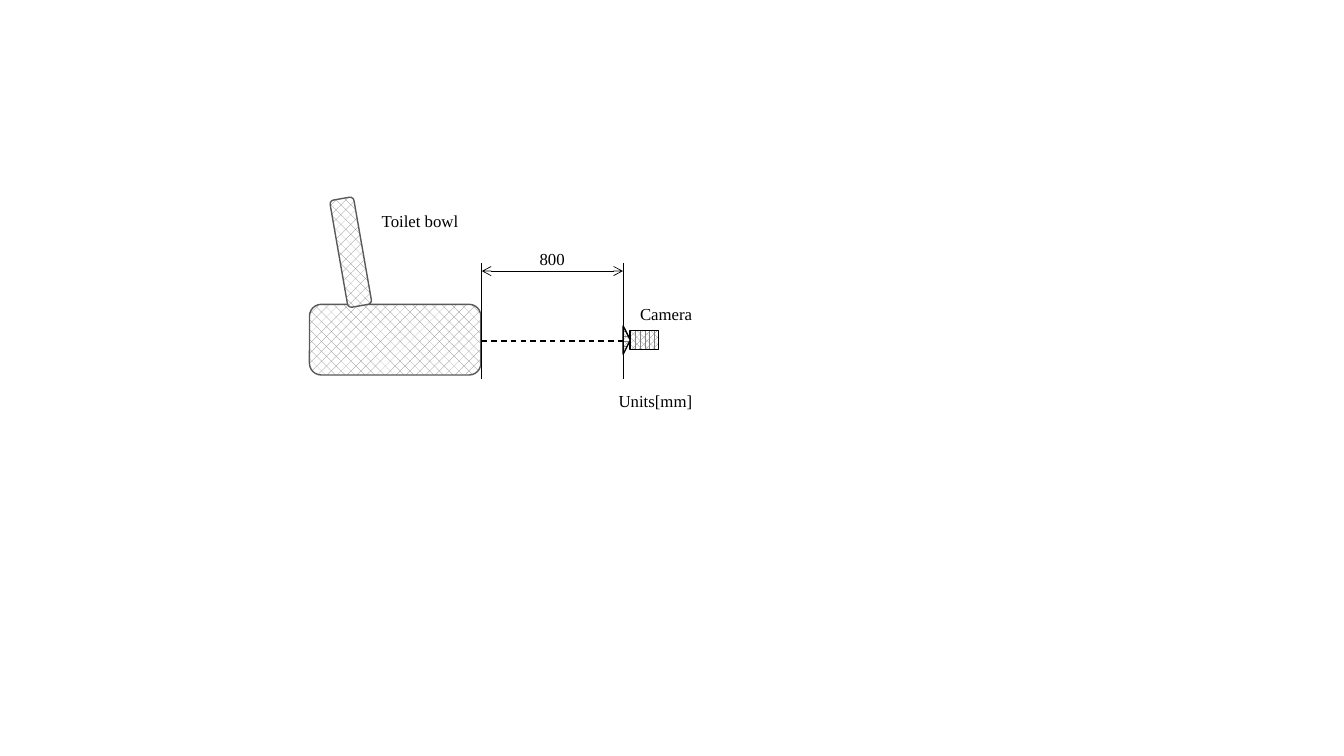
from lxml import etree
from pptx import Presentation
from pptx.dml.color import RGBColor
from pptx.enum.dml import MSO_LINE, MSO_PATTERN as PATTERN
from pptx.enum.shapes import MSO_CONNECTOR, MSO_SHAPE as SHAPE
from pptx.enum.text import MSO_AUTO_SIZE
from pptx.oxml.ns import qn
from pptx.util import Cm, Pt

COLORS = {"ink": "000000", "outline": "595959", "hatch": "808080", "paper": "FFFFFF"}
FONT = {"name": "Times New Roman", "size": Pt(12)}
FRAME = {"word_wrap": False, "auto_size": MSO_AUTO_SIZE.SHAPE_TO_FIT_TEXT}

TOILET = [
    (SHAPE.ROUNDED_RECTANGLE, (7.8, 7.67, 4.32, 1.78), 0),
    (SHAPE.ROUNDED_RECTANGLE, (7.47, 6.05, 2.74, 0.61), 260.1),
]
CAMERA = [
    (SHAPE.RECTANGLE, (15.88, 8.33, 0.71, 0.48), 0),
    (SHAPE.ISOSCELES_TRIANGLE, (15.44, 8.48, 0.71, 0.18), 90),
]
BOWL_EDGE, LENS_EDGE = 12.14, 15.7
MARK_TOP, MARK_BOTTOM = 6.63, 9.55
DIMENSION_Y, AXIS_Y = 6.83, 8.59
LABEL_HEIGHT, DISTANCE_WIDTH = 0.76, 1.14
LABELS = [
    ("Toilet bowl", 9.37, 5.18, 2.46),
    ("800", (BOWL_EDGE + LENS_EDGE - DISTANCE_WIDTH) / 2, 6.15, DISTANCE_WIDTH),
    ("Camera", 15.88, 7.52, 1.85),
    ("Units[mm]", 15.34, 9.73, 2.39),
]


def color(name):
    return RGBColor.from_string(COLORS[name])


def apply(target, values):
    for name, value in values.items():
        setattr(target, name, value)


def add_parts(shapes, parts, pattern, outline):
    for kind, box, rotation in parts:
        shape = shapes.add_shape(kind, *map(Cm, box))
        shape.rotation = rotation
        shape.shadow.inherit = False
        shape.fill.patterned()
        shape.fill.pattern = pattern
        shape.fill.fore_color.rgb = color("hatch")
        shape.fill.back_color.rgb = color("paper")
        shape.line.color.rgb = color(outline)
        shape.line.width = Pt(1)


def add_line(shapes, *ends, width=0.5, dash=None, arrows=False):
    connector = shapes.add_connector(MSO_CONNECTOR.STRAIGHT, *map(Cm, ends))
    line = connector.line
    line.color.rgb = color("ink")
    line.width = Pt(width)
    if dash:
        line.dash_style = dash
    properties = connector.element.spPr
    if arrows:
        outline = properties.find(qn("a:ln"))
        for end in ("a:headEnd", "a:tailEnd"):
            etree.SubElement(outline, qn(end), type="arrow")
    etree.SubElement(properties, qn("a:effectLst"))


def add_label(shapes, text, left, top, width):
    box = shapes.add_textbox(Cm(left), Cm(top), Cm(width), Cm(LABEL_HEIGHT))
    apply(box.text_frame, FRAME)
    run = box.text_frame.paragraphs[0].add_run()
    run.text = text
    apply(run.font, FONT)
    run.font.color.rgb = color("ink")


presentation = Presentation()
presentation.slide_width, presentation.slide_height = Cm(33.87), Cm(19.05)
slide = presentation.slides.add_slide(presentation.slide_layouts[6])
shapes = slide.shapes

add_parts(shapes, TOILET, PATTERN.PERCENT_30, "outline")
add_parts(shapes.add_group_shape().shapes, CAMERA, PATTERN.PERCENT_70, "ink")
for x in (BOWL_EDGE, LENS_EDGE):
    add_line(shapes, x, MARK_BOTTOM, x, MARK_TOP)
add_line(shapes, BOWL_EDGE, DIMENSION_Y, LENS_EDGE, DIMENSION_Y, arrows=True)
add_line(shapes, BOWL_EDGE, AXIS_Y, LENS_EDGE, AXIS_Y, width=1, dash=MSO_LINE.DASH)
for label in LABELS:
    add_label(shapes, *label)

presentation.save("out.pptx")
